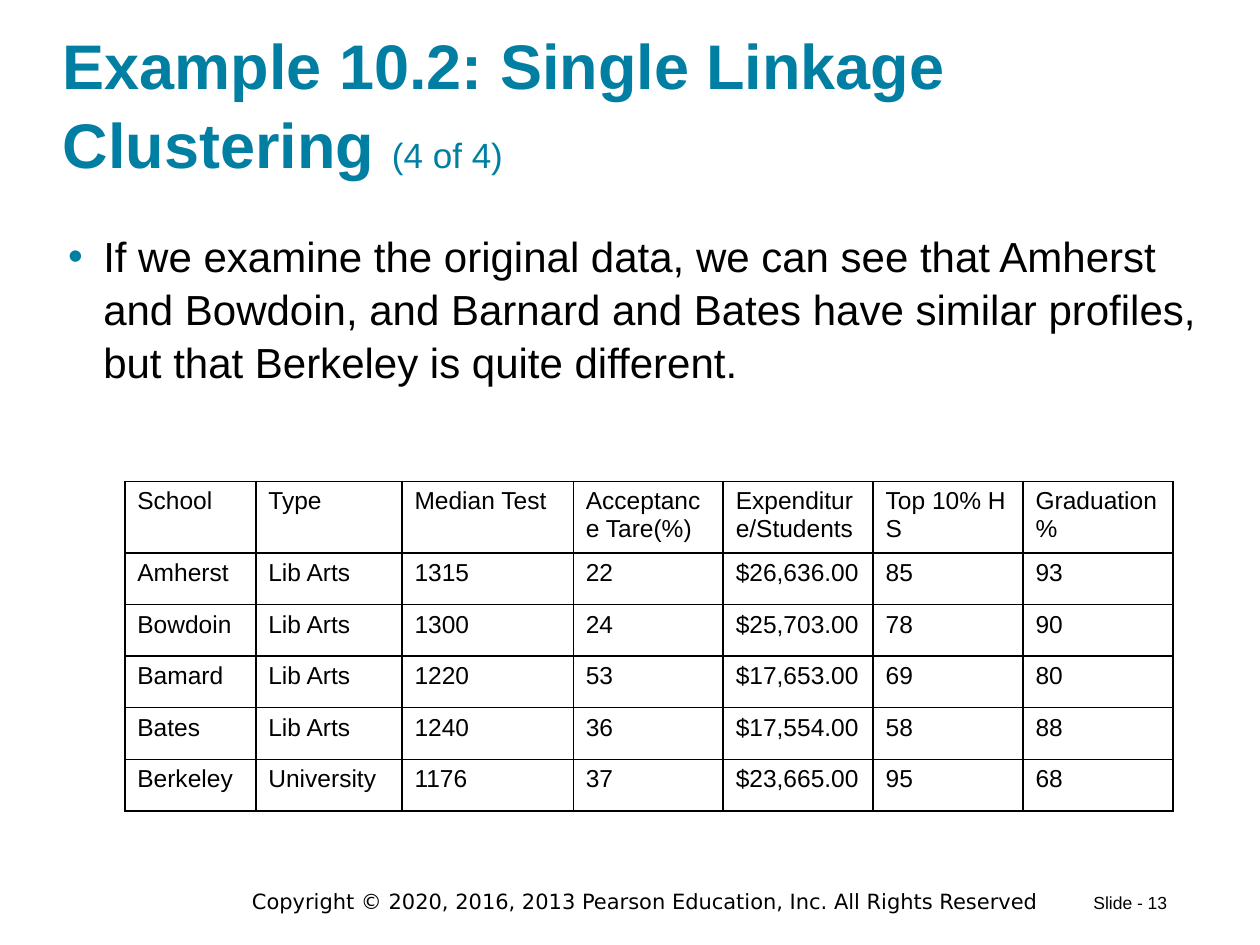
"""Build the closing slide of the single linkage clustering example."""
from lxml import etree
from pptx import Presentation, util as u
from pptx.dml.color import RGBColor
from pptx.enum import text
from pptx.oxml.ns import qn

WIDTH, HEIGHT = 10, 7.5
TEAL, BLACK = "007FA3", "000000"
TITLE = [
    ("Example 10.2: Single Linkage Clustering ", {"size": 36, "bold": True, "color": TEAL}),
    ("(4 of 4)", {"size": 20, "color": TEAL}),
]
BODY = [(
    "If we examine the original data, we can see that Amherst and Bowdoin, "
    "and Barnard and Bates have similar profiles, but that Berkeley is quite different.",
    {"size": 24},
)]
COPYRIGHT = [(
    "Copyright © 2020, 2016, 2013 Pearson Education, Inc. All Rights Reserved",
    {"size": 12, "name": "DejaVu Sans"},
)]
SLIDE_NUMBER = [("Slide - 13", {"size": 10})]
THIN_SPACE_MARK = "|"
SCHOOLS = [
    ("School", "Type", "Median Test", "Acceptance Tare(%)",
     "Expenditure/Students", "Top 10% H|S", "Graduation %"),
    ("Amherst", "Lib Arts", "1315", "22", "$26,636.00", "85", "93"),
    ("Bowdoin", "Lib Arts", "1300", "24", "$25,703.00", "78", "90"),
    ("Bamard", "Lib Arts", "1220", "53", "$17,653.00", "69", "80"),
    ("Bates", "Lib Arts", "1240", "36", "$17,554.00", "58", "88"),
    ("Berkeley", "University", "1176", "37", "$23,665.00", "95", "68"),
]
COLUMN_WIDTHS = [1.04, 1.16, 1.36] + [1.19] * 4
ROW_HEIGHTS = [0.53] + [0.41] * (len(SCHOOLS) - 1)


def rgb(color):
    return RGBColor.from_string(color)


def add_runs(paragraph, runs):
    for words, font_format in runs:
        run = paragraph.add_run()
        run.text = words
        values = {"name": "Arial", "bold": False, **font_format}
        run.font.color.rgb = rgb(values.pop("color", BLACK))
        values["size"] = u.Pt(values["size"])
        for name, value in values.items():
            setattr(run.font, name, value)


def add_text(slide, box, runs, margins=(0, 0), anchor=text.MSO_ANCHOR.TOP, **paragraph_format):
    shape = slide.shapes.add_textbox(*map(u.Inches, box))
    horizontal, vertical = map(u.Inches, margins)
    frame_format = {
        "word_wrap": True, "vertical_anchor": anchor,
        "margin_left": horizontal, "margin_right": horizontal,
        "margin_top": vertical, "margin_bottom": vertical,
    }
    for name, value in frame_format.items():
        setattr(shape.text_frame, name, value)
    paragraph = shape.text_frame.paragraphs[0]
    for name, value in paragraph_format.items():
        setattr(paragraph, name, value)
    add_runs(paragraph, runs)
    return paragraph


def add_bullet(paragraph, indent, color):
    properties = paragraph._p.get_or_add_pPr()
    properties.set("marL", str(u.Inches(indent)))
    properties.set("indent", str(-u.Inches(indent)))
    bullet_color = etree.SubElement(properties, qn("a:buClr"))
    etree.SubElement(bullet_color, qn("a:srgbClr"), val=color)
    etree.SubElement(properties, qn("a:buFont"), typeface="Arial")
    etree.SubElement(properties, qn("a:buChar"), char="•")


def add_borders(cell, color, points):
    properties = cell._tc.get_or_add_tcPr()
    for index, side in enumerate(("lnL", "lnR", "lnT", "lnB")):
        line = etree.Element(qn(f"a:{side}"), w=str(u.Pt(points)))
        fill = etree.SubElement(line, qn("a:solidFill"))
        etree.SubElement(fill, qn("a:srgbClr"), val=color)
        properties.insert(index, line)


def cell_runs(words):
    first, *others = words.split(THIN_SPACE_MARK)
    runs = [(first, {"size": 14})]
    for part in others:
        runs += [(" ", {"size": 1}), (part, {"size": 14})]
    return runs


def add_school_table(slide, left, top):
    table = slide.shapes.add_table(
        len(SCHOOLS), len(COLUMN_WIDTHS), u.Inches(left), u.Inches(top),
        u.Inches(sum(COLUMN_WIDTHS)), u.Inches(sum(ROW_HEIGHTS))).table
    table.first_row = table.horz_banding = False
    for column, width in zip(table.columns, COLUMN_WIDTHS):
        column.width = u.Inches(width)
    for row, height, values in zip(table.rows, ROW_HEIGHTS, SCHOOLS):
        row.height = u.Inches(height)
        for cell, words in zip(row.cells, values):
            cell.fill.background()
            add_borders(cell, BLACK, 1)
            add_runs(cell.text_frame.paragraphs[0], cell_runs(words))


def main():
    presentation = Presentation()
    presentation.slide_width, presentation.slide_height = u.Inches(WIDTH), u.Inches(HEIGHT)
    slide = presentation.slides.add_slide(presentation.slide_layouts[6])
    add_text(slide, (1.83, 7, 6.58, 0.3), COPYRIGHT, (0.1, 0.05), alignment=text.PP_ALIGN.CENTER)
    add_text(slide, (8.58, 7.03, 0.81, 0.27), SLIDE_NUMBER, (0.1, 0.05))
    add_text(slide, (0.5, 0.24, 0.9 * WIDTH, 1.2), TITLE,
             anchor=text.MSO_ANCHOR.BOTTOM, line_spacing=1.05)
    body = add_text(slide, (0.54, 1.81, 0.9 * WIDTH, 1.63), BODY, line_spacing=1.05)
    add_bullet(body, 0.28, TEAL)
    add_school_table(slide, 0.99, 3.82)
    presentation.save("out.pptx")


if __name__ == "__main__":
    main()
